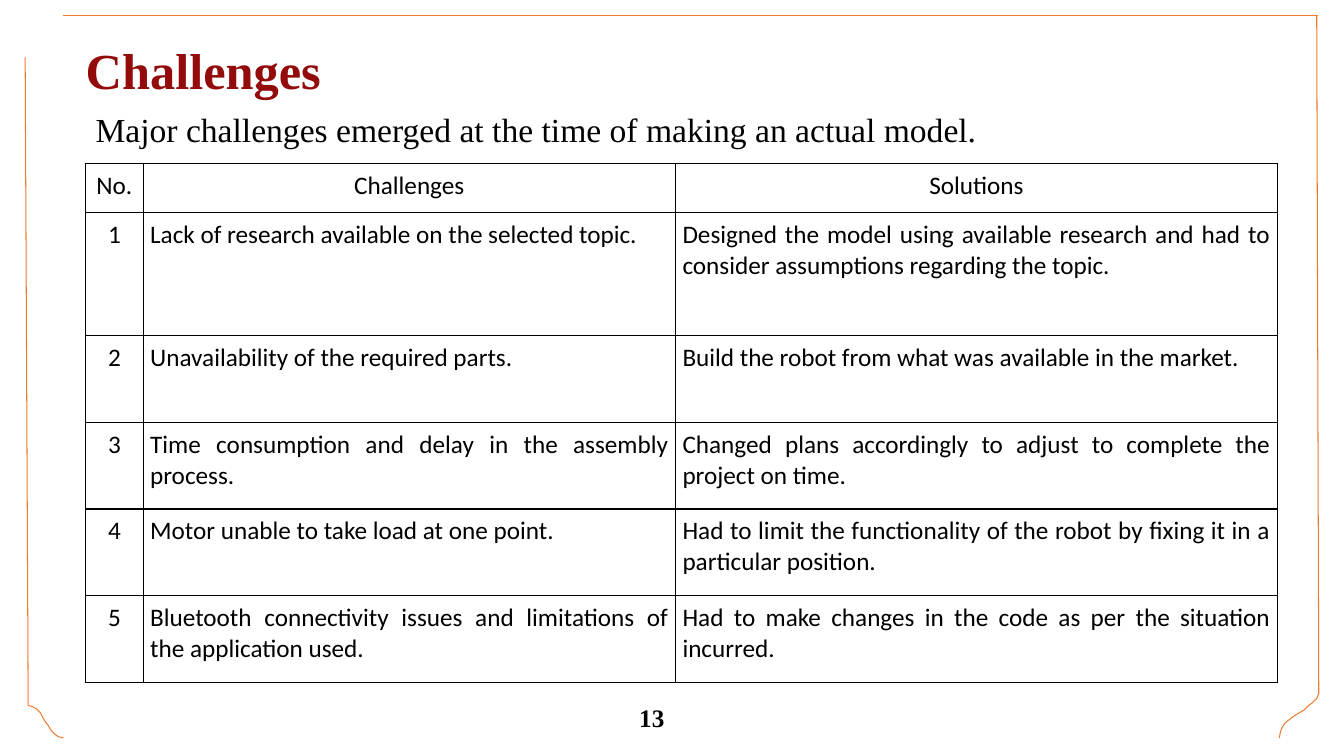
"""Build the Challenges slide: a framed table of project problems and solutions."""
from lxml.etree import SubElement
from pptx import Presentation
from pptx.dml.color import RGBColor
from pptx.enum.text import MSO_ANCHOR, MSO_AUTO_SIZE, PP_ALIGN
from pptx.oxml.ns import qn
from pptx.util import Inches, Pt

COLORS = {"title": "930B0B", "text": "000000", "frame": "ED7C31"}
SERIF = "Times New Roman"


def style(paragraph, size, font_name, color, bold=False, align=PP_ALIGN.LEFT):
    paragraph.alignment = align
    paragraph.font.size = Pt(size)
    paragraph.font.name = font_name
    paragraph.font.bold = bold
    paragraph.font.color.rgb = RGBColor.from_string(COLORS[color])


def set_insets(frame, inset):
    frame.margin_left = frame.margin_top = Inches(inset)
    frame.margin_right = frame.margin_bottom = Inches(inset)


prs = Presentation()
prs.slide_width = Inches(13.33)
prs.slide_height = Inches(7.5)
slide = prs.slides.add_slide(prs.slide_layouts[5])

frame_strokes = [
    [(0.25, 0.57), (0.28, 7)],
    [(0.28, 7), (0.32, 7.01), (0.36, 7.03), (0.4, 7.07), (0.42, 7.11), (0.45, 7.16),
     (0.48, 7.2), (0.51, 7.25), (0.54, 7.28), (0.58, 7.31), (0.63, 7.32)],
    [(13.06, 0.15), (13.08, 6.82)],
    [(0.63, 0.15), (13.07, 0.15)],
    [(13.08, 6.82), (13.08, 6.88), (13.06, 6.93), (13.02, 6.97), (12.98, 7), (12.94, 7.04),
     (12.89, 7.07), (12.84, 7.1), (12.8, 7.13), (12.75, 7.17), (12.72, 7.21),
     (12.7, 7.26), (12.69, 7.32)],
]
strokes = [[(Inches(x), Inches(y)) for x, y in stroke] for stroke in frame_strokes]
outline = slide.shapes.build_freeform(*strokes[0][0])
outline.add_line_segments(strokes[0][1:], close=False)
for start, *rest in strokes[1:]:
    outline.move_to(*start)
    outline.add_line_segments(rest, close=False)
border = outline.convert_to_shape()
border.shadow.inherit = False
border.fill.background()
border.line.color.rgb = RGBColor.from_string(COLORS["frame"])
border.line.width = Pt(0.75)

title = slide.shapes.title
title.left, title.top = Inches(0.85), Inches(0.33)
title.width, title.height = Inches(11.81), Inches(0.72)
title.text_frame.text = "Challenges"
title.text_frame.auto_size = MSO_AUTO_SIZE.NONE
title.text_frame.vertical_anchor = MSO_ANCHOR.MIDDLE
set_insets(title.text_frame, 0)
style(title.text_frame.paragraphs[0], 36, SERIF, "title", bold=True)

intro = slide.shapes.add_textbox(Inches(0.85), Inches(1.03), Inches(11.84), Inches(0.5)).text_frame
intro.word_wrap = True
intro.text = "Major challenges emerged at the time of making an actual model."
style(intro.paragraphs[0], 24, SERIF, "text")

rows = [
    ("No.", "Challenges", "Solutions"),
    ("1", "Lack of research available on the selected topic.",
     "Designed the model using available research and had to consider assumptions "
     "regarding the topic."),
    ("2", "Unavailability of the required parts.",
     "Build the robot from what was available in the market."),
    ("3", "Time consumption and delay in the assembly process.",
     "Changed plans accordingly to adjust to complete the project on time."),
    ("4", "Motor unable to take load at one point.",
     "Had to limit the functionality of the robot by fixing it in a particular position."),
    ("5", "Bluetooth connectivity issues and limitations of the application used.",
     "Had to make changes in the code as per the situation incurred."),
]
table = slide.shapes.add_table(len(rows), 3, Inches(0.85), Inches(1.62),
                               Inches(11.81), Inches(5.15)).table
table.first_row = table.horz_banding = False
for column, width in zip(table.columns, (0.57, 5.28, 5.97)):
    column.width = Inches(width)
for row, height in zip(table.rows, (0.49, 1.22, 0.86, 0.86, 0.86, 0.86)):
    row.height = Inches(height)

for r, row in enumerate(rows):
    for c, text in enumerate(row):
        cell = table.cell(r, c)
        cell.text = text
        set_insets(cell, 0.07)
        centred = r == 0 or c == 0
        style(cell.text_frame.paragraphs[0], 18, "Calibri", "text",
              align=PP_ALIGN.CENTER if centred else PP_ALIGN.JUSTIFY)
        properties = cell._tc.get_or_add_tcPr()
        for side in ("a:lnL", "a:lnR", "a:lnT", "a:lnB"):
            edge = SubElement(properties, qn(side), w=str(Pt(1)))
            SubElement(SubElement(edge, qn("a:solidFill")), qn("a:srgbClr"), val=COLORS["text"])
        cell.fill.background()

page_number = slide.shapes.add_textbox(Inches(4.53), Inches(6.97), Inches(4.27), Inches(0.3)).text_frame
page_number.word_wrap = True
page_number.text = "13"
set_insets(page_number, 0)
page_number.margin_right = Inches(0.4)
style(page_number.paragraphs[0], 18, SERIF, "text", bold=True, align=PP_ALIGN.CENTER)

prs.save("out.pptx")
